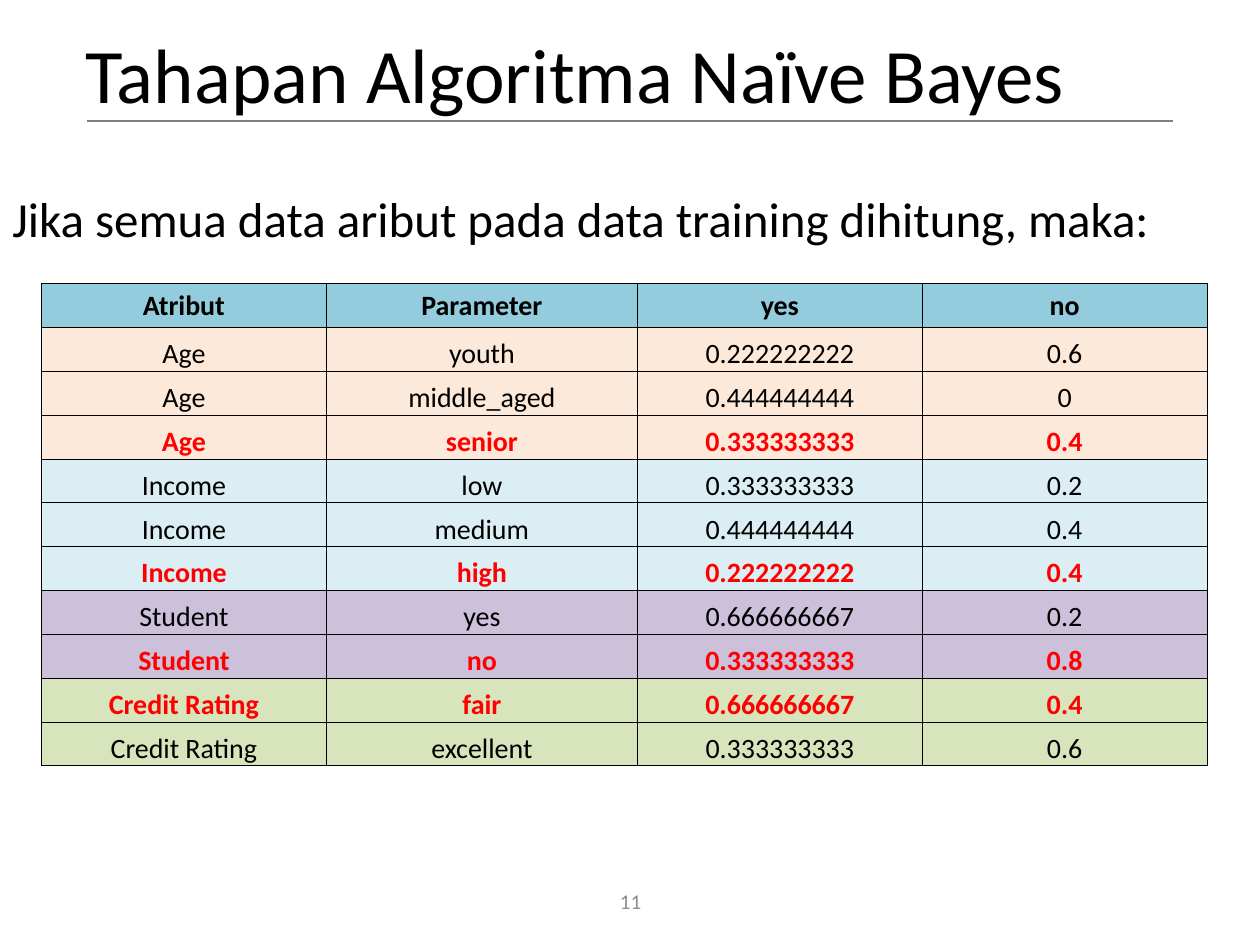
"""Build the slide of Naive Bayes attribute probabilities."""
from dataclasses import dataclass

from lxml import etree
from pptx import Presentation
from pptx.dml.color import RGBColor
from pptx.enum.shapes import MSO_CONNECTOR
from pptx.enum.text import MSO_ANCHOR, PP_ALIGN
from pptx.oxml.ns import qn
from pptx.util import Inches, Pt

STRAIGHT = MSO_CONNECTOR.STRAIGHT
TOP, MIDDLE, BOTTOM = MSO_ANCHOR.TOP, MSO_ANCHOR.MIDDLE, MSO_ANCHOR.BOTTOM
LEFT, CENTER = PP_ALIGN.LEFT, PP_ALIGN.CENTER
FONT = "Calibri"
COLORS = {
    "text": "000000",
    "selected": "FF0000",
    "page": "8C8C8C",
    "rule": "808080",
    "border": "000000",
    "header": "93CDDD",
    "Age": "FDE9D9",
    "Income": "DBEEF3",
    "Student": "CCC0DA",
    "Credit Rating": "D7E4BC",
}


@dataclass
class Caption:
    text: str
    left: float
    top: float
    width: float
    height: float
    size: int
    color: str = "text"
    anchor: int = MIDDLE
    align: int = LEFT
    line_spacing: float = 0.9
    space_before: int = 0
    hanging: float = 0


@dataclass
class Probability:
    attribute: str
    parameter: str
    yes: str
    no: str
    selected: bool = False


CAPTIONS = [
    Caption("11", 3.88, 6.95, 2.25, 0.4, 12, "page", align=CENTER, line_spacing=1),
    Caption("Tahapan Algoritma Naïve Bayes", 0.58, 0, 9, 1.25, 44),
    Caption("Jika semua data aribut pada data training dihitung, maka:",
            0, 1.5, 9.83, 5.33, 28, anchor=TOP, space_before=10, hanging=0.56),
]
HEADINGS = ("Atribut", "Parameter", "yes", "no")
PROBABILITIES = [
    Probability("Age", "youth", "0.222222222", "0.6"),
    Probability("Age", "middle_aged", "0.444444444", "0"),
    Probability("Age", "senior", "0.333333333", "0.4", True),
    Probability("Income", "low", "0.333333333", "0.2"),
    Probability("Income", "medium", "0.444444444", "0.4"),
    Probability("Income", "high", "0.222222222", "0.4", True),
    Probability("Student", "yes", "0.666666667", "0.2"),
    Probability("Student", "no", "0.333333333", "0.8", True),
    Probability("Credit Rating", "fair", "0.666666667", "0.4", True),
    Probability("Credit Rating", "excellent", "0.333333333", "0.6"),
]
COLUMN_WIDTHS = (2.26, 2.47, 2.26, 2.26)
TABLE_HEIGHT = 3.83


def rgb(name: str) -> RGBColor:
    return RGBColor.from_string(COLORS[name])


def style(paragraph, size: int, color: str, align: int, bold: bool = False) -> None:
    paragraph.alignment = align
    font = paragraph.font
    font.name, font.size, font.bold = FONT, Pt(size), bold
    font.color.rgb = rgb(color)


def add_caption(slide, caption: Caption) -> None:
    box = slide.shapes.add_textbox(Inches(caption.left), Inches(caption.top),
                                   Inches(caption.width), Inches(caption.height))
    frame = box.text_frame
    frame.word_wrap = True
    frame.vertical_anchor = caption.anchor
    paragraph = frame.paragraphs[0]
    paragraph.text = caption.text
    style(paragraph, caption.size, caption.color, caption.align)
    paragraph.line_spacing = caption.line_spacing
    paragraph.space_before = Pt(caption.space_before)
    if caption.hanging:
        properties = paragraph._p.get_or_add_pPr()
        properties.set("marL", str(Inches(caption.hanging)))
        properties.set("indent", str(-Inches(caption.hanging)))


def add_title_rule(slide) -> None:
    rule = slide.shapes.add_connector(STRAIGHT, Inches(0.69), Inches(0.96),
                                      Inches(9.31), Inches(0.96))
    rule.line.color.rgb = rgb("rule")
    rule.line.width = Pt(1)
    etree.SubElement(rule._element.spPr, qn("a:effectLst"))


def fill_cell(cell, text: str, fill: str, color: str, bold: bool, anchor: int) -> None:
    cell.text = text
    cell.vertical_anchor = anchor
    cell.margin_left = cell.margin_right = cell.margin_top = cell.margin_bottom = 0
    style(cell.text_frame.paragraphs[0], 16, color, CENTER, bold)
    properties = cell._tc.get_or_add_tcPr()
    for side in ("lnL", "lnR", "lnT", "lnB"):
        border = etree.SubElement(properties, qn(f"a:{side}"), w=str(Pt(0.5)))
        solid = etree.SubElement(border, qn("a:solidFill"))
        etree.SubElement(solid, qn("a:srgbClr"), val=COLORS["border"])
    cell.fill.solid()
    cell.fill.fore_color.rgb = rgb(fill)


def add_probability_table(slide) -> None:
    row_count = len(PROBABILITIES) + 1
    table = slide.shapes.add_table(
        row_count, len(HEADINGS), Inches(0.33), Inches(2.25),
        Inches(sum(COLUMN_WIDTHS)), Inches(TABLE_HEIGHT)).table
    for column, width in zip(table.columns, COLUMN_WIDTHS):
        column.width = Inches(width)
    for row in table.rows:
        row.height = Inches(TABLE_HEIGHT / row_count)
    for column, heading in enumerate(HEADINGS):
        fill_cell(table.cell(0, column), heading, "header", "text", True, MIDDLE)
    for row, entry in enumerate(PROBABILITIES, start=1):
        color = "selected" if entry.selected else "text"
        values = (entry.attribute, entry.parameter, entry.yes, entry.no)
        for column, value in enumerate(values):
            fill_cell(table.cell(row, column), value, entry.attribute, color,
                      entry.selected, BOTTOM)


def main() -> None:
    presentation = Presentation()
    presentation.slide_width, presentation.slide_height = Inches(10), Inches(7.5)
    slide = presentation.slides.add_slide(presentation.slide_layouts[6])
    add_title_rule(slide)
    for caption in CAPTIONS:
        add_caption(slide, caption)
    add_probability_table(slide)
    presentation.save("out.pptx")


main()
